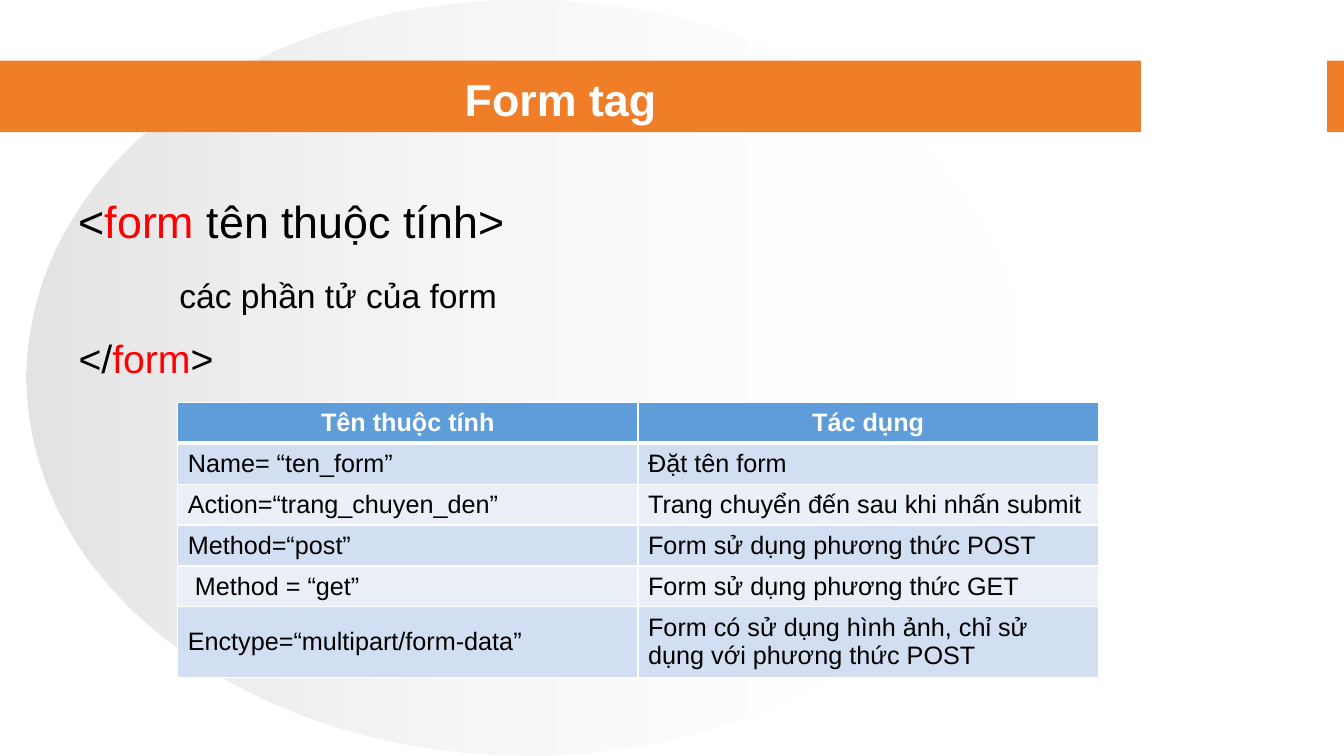
from lxml import etree
from pptx import Presentation
from pptx import util as u
from pptx.dml.color import RGBColor
from pptx.enum import shapes, text
from pptx.oxml.ns import qn

TITLE = "Form tag"
# Each line: spans of (text, colour name), then size, left indent in cm, space before
SYNTAX = [
    ([("<", "ink"), ("form ", "keyword"), ("tên thuộc tính>", "ink")], 32, 0.03, 0),
    ([("các phần tử của form", "ink")], 24, 2.57, 17),
    ([("</", "ink"), ("form", "keyword"), (">", "ink")], 28, 0.03, 11),
]
ATTRIBUTES = [
    ("Tên thuộc tính", "Tác dụng"),
    ("Name= “ten_form”", "Đặt tên form"),
    ("Action=“trang_chuyen_den”", "Trang chuyển đến sau khi nhấn submit"),
    ("Method=“post”", "Form sử dụng phương thức POST"),
    (" Method = “get”", "Form sử dụng phương thức GET"),
    ("Enctype=“multipart/form-data”",
     "Form có sử dụng hình ảnh, chỉ sử dụng với phương thức POST"),
]
THEME = {
    "font": "Arial", "title_size": 32, "table_size": 18,
    "white": "FFFFFF", "ink": "000000", "keyword": "FF0000",
    "banner": "F07D27", "glow": "C0C0C0",
    "header": "5E9CDA", "odd_row": "D2DEF1", "even_row": "EAEFF8",
}
WIDTH, HEIGHT = 33.87, 19.05
BANNER_TOP, BANNER_HEIGHT = 1.53, 1.8
COLUMN_WIDTH, ROW_HEIGHT, LAST_ROW_HEIGHT = 11.6, 1.03, 1.66


def colour(name):
    return RGBColor.from_string(THEME[name])


def cm(*lengths):
    return [u.Cm(length) for length in lengths]


def add_span(para, words, size, ink="ink", bold=False):
    span = para.add_run()
    span.text = words
    span.font.name = THEME["font"]
    span.font.size = u.Pt(size)
    span.font.bold = bold
    span.font.color.rgb = colour(ink)


def add_box(page, left, top, width, height, anchor):
    frame = page.shapes.add_textbox(*cm(left, top, width, height)).text_frame
    frame.word_wrap = True
    frame.vertical_anchor = anchor
    return frame


def add_plain(page, kind, left, top, width, height, fill=None):
    """Add a preset shape without shadow or line."""
    shape = page.shapes.add_shape(kind, *cm(left, top, width, height))
    shape.shadow.inherit = False
    shape.line.fill.background()
    if fill:
        shape.fill.solid()
        shape.fill.fore_color.rgb = colour(fill)
    return shape


def add_glow(page):
    """Add the grey ellipse that fades out to the right."""
    glow = add_plain(page, shapes.MSO_SHAPE.OVAL, 0.66, 0, 25.2, HEIGHT)
    glow.fill.gradient()
    glow.fill.gradient_angle = 0
    for stop, name in zip(glow.fill.gradient_stops, ("glow", "white")):
        stop.color.rgb = colour(name)
    stops = glow._element.spPr.iter(qn("a:srgbClr"))
    for stop_colour, opacity in zip(list(stops), (44, 0)):
        etree.SubElement(stop_colour, qn("a:alpha"), val=str(opacity * 1000))


def add_borders(cell, top, bottom):
    """Draw white cell borders; call before the cell gets its fill."""
    properties = cell._tc.get_or_add_tcPr()
    for side, points in (("L", 1), ("R", 1), ("T", top), ("B", bottom)):
        line = etree.SubElement(properties, qn("a:ln" + side), w=str(u.Pt(points)))
        fill = etree.SubElement(line, qn("a:solidFill"))
        etree.SubElement(fill, qn("a:srgbClr"), val=THEME["white"])


def add_attribute_table(page):
    rows, columns = len(ATTRIBUTES), len(ATTRIBUTES[0])
    heights = [ROW_HEIGHT] * (rows - 1) + [LAST_ROW_HEIGHT]
    table = page.shapes.add_table(
        rows, columns, *cm(4.48, 10.14, COLUMN_WIDTH * columns, sum(heights))).table
    for column in table.columns:
        column.width = u.Cm(COLUMN_WIDTH)
    for r, (words, height) in enumerate(zip(ATTRIBUTES, heights)):
        table.rows[r].height = u.Cm(height)
        is_header = r == 0
        shade = "header" if is_header else "odd_row" if r % 2 else "even_row"
        for c, content in enumerate(words):
            cell = table.cell(r, c)
            add_borders(cell, top=3 if r == 1 else 1, bottom=3 if is_header else 1)
            cell.fill.solid()
            cell.fill.fore_color.rgb = colour(shade)
            cell.vertical_anchor = text.MSO_ANCHOR.MIDDLE
            para = cell.text_frame.paragraphs[0]
            para.alignment = text.PP_ALIGN.CENTER if is_header else text.PP_ALIGN.LEFT
            add_span(para, content, THEME["table_size"],
                     ink="white" if is_header else "ink", bold=is_header)


def add_syntax(page):
    frame = add_box(page, 1.7, 4.65, 30.63, 12.9, text.MSO_ANCHOR.TOP)
    for i, (spans, size, indent, before) in enumerate(SYNTAX):
        para = frame.add_paragraph() if i else frame.paragraphs[0]
        para._p.get_or_add_pPr().set("marL", str(u.Cm(indent)))
        para.line_spacing = 1.08
        para.space_before = u.Pt(before)
        for words, ink in spans:
            add_span(para, words, size, ink)


def main():
    deck = Presentation()
    deck.slide_width, deck.slide_height = cm(WIDTH, HEIGHT)
    page = deck.slides.add_slide(deck.slide_layouts[6])

    add_glow(page)
    rectangle = shapes.MSO_SHAPE.RECTANGLE
    add_plain(page, rectangle, 0, BANNER_TOP, WIDTH, BANNER_HEIGHT, "banner")
    gap = add_plain(page, rectangle, 28.78, BANNER_TOP, 4.65, BANNER_HEIGHT, "white")
    gap.line.color.rgb = colour("white")
    gap.line.width = u.Pt(0.75)

    heading = add_box(page, 1.73, 1.7, 24.8, 1.58, text.MSO_ANCHOR.MIDDLE).paragraphs[0]
    heading.alignment = text.PP_ALIGN.CENTER
    add_span(heading, TITLE, THEME["title_size"], ink="white", bold=True)

    add_syntax(page)
    add_attribute_table(page)
    deck.save("out.pptx")


if __name__ == "__main__":
    main()
